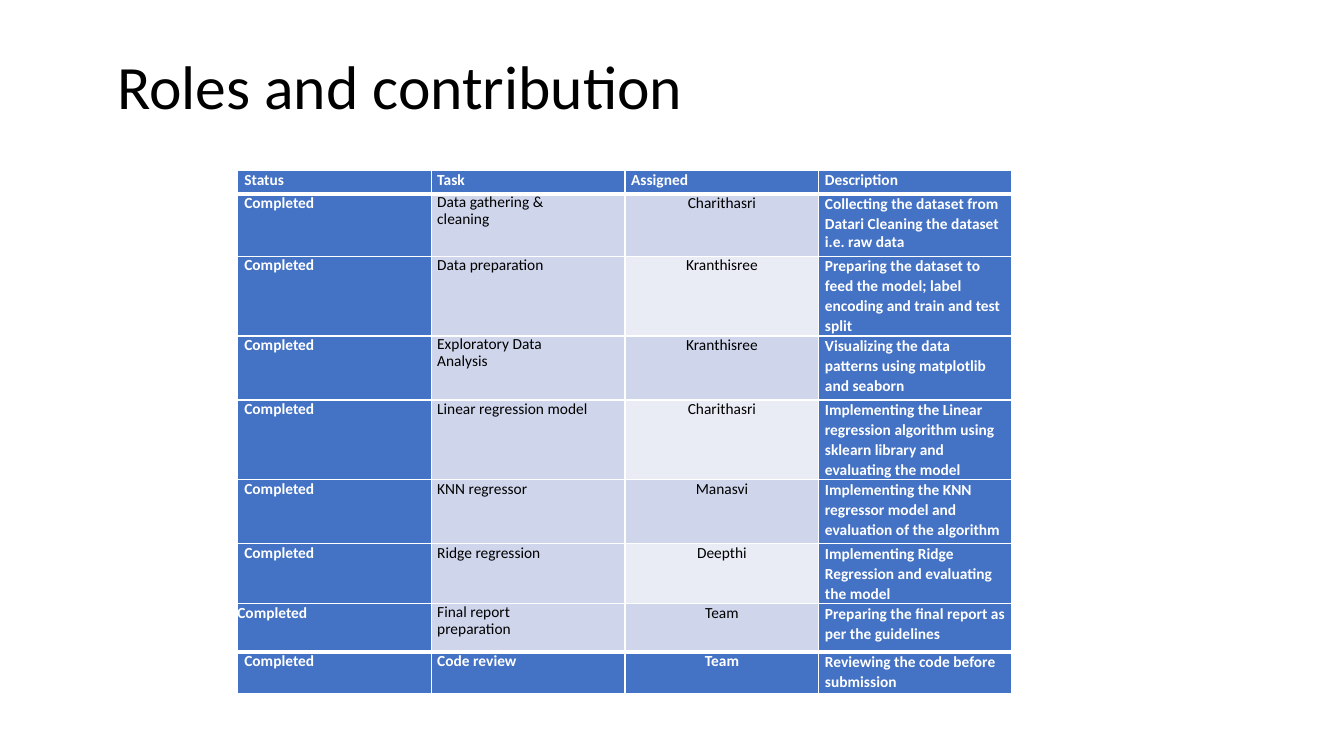
from lxml.etree import SubElement
from pptx import Presentation
from pptx.dml.color import RGBColor
from pptx.enum.text import MSO_ANCHOR as ANCHOR, PP_ALIGN as ALIGN
from pptx.oxml.ns import qn
from pptx.util import Pt

BLUE, PALE, PALER, WHITE, BLACK = "4472C4", "CFD5EA", "E9EBF5", "FFFFFF", "000000"
HEADERS = ["Status", "Task", "Assigned", "Description"]
TASKS = [
    ("Data gathering & cleaning", "Charithasri",
     "Collecting the dataset from Datari Cleaning the dataset\ni.e. raw data"),
    ("Data preparation", "Kranthisree",
     "Preparing the dataset to feed the model; label encoding and train and test split"),
    ("Exploratory Data Analysis", "Kranthisree",
     "Visualizing the data patterns using matplotlib and seaborn"),
    ("Linear regression model", "Charithasri",
     "Implementing the Linear regression algorithm using sklearn library and evaluating the model"),
    ("KNN regressor", "Manasvi",
     "Implementing the KNN regressor model and evaluation of the algorithm"),
    ("Ridge regression", "Deepthi",
     "Implementing Ridge Regression and evaluating the model"),
    ("Final report preparation", "Team",
     "Preparing the final report as per the guidelines"),
    ("Code review", "Team", "Reviewing the code before submission"),
]
WRAPPED = {"Data gathering & cleaning", "Exploratory Data Analysis", "Final report preparation"}
COL_WIDTHS = [138.5, 138.5, 138.5, 137.5]
ROW_HEIGHTS = [16.5, 44.5, 57, 45.75, 57, 45.75, 43, 34.5, 29.5]
FINAL_REPORT = 7


def color(value):
    return RGBColor.from_string(value)


def add_text(tf, text, size=11, fill=WHITE, bold=False, align=ALIGN.LEFT,
             spacing=1.0, last_spacing=None, indent=0):
    tf.word_wrap = True
    lines = text.split("\n")
    for i, line in enumerate(lines):
        p = tf.paragraphs[0] if i == 0 else tf.add_paragraph()
        p.alignment = align
        p.line_spacing = last_spacing if i and last_spacing else spacing
        if indent:
            p._p.get_or_add_pPr().set("marL", str(Pt(indent)))
        r = p.add_run()
        r.text = line
        r.font.name = "Calibri"
        r.font.size = Pt(size)
        r.font.bold = bold
        r.font.color.rgb = color(fill)


def set_borders(cell, top=1, bottom=1):
    tcPr = cell._tc.get_or_add_tcPr()
    for side, width in (("L", 1), ("R", 1), ("T", top), ("B", bottom)):
        ln = SubElement(tcPr, qn(f"a:ln{side}"), w=str(Pt(width)))
        SubElement(SubElement(ln, qn("a:solidFill")), qn("a:srgbClr"), val=WHITE)


def add_title(s, x, y, w, h):
    tf = s.shapes.add_textbox(Pt(x), Pt(y), Pt(w), Pt(h)).text_frame
    tf.vertical_anchor = ANCHOR.MIDDLE
    add_text(tf, "Roles and contribution", size=44, fill=BLACK, spacing=0.9)


def fill_cell(cell, row, col, text):
    last = len(TASKS)
    plain = 0 < row < last and col in (1, 2)
    set_borders(cell, top=3 if row in (1, last) else 1,
                bottom=3 if row in (0, last - 1) else 1)
    cell.fill.solid()
    fill = BLUE if not plain else PALER if col == 2 and row % 2 == 0 else PALE
    cell.fill.fore_color.rgb = color(fill)
    cell.margin_left = cell.margin_right = cell.margin_top = cell.margin_bottom = 0
    if text in WRAPPED:
        cell.margin_right = Pt(36)
    elif col == 3 and row != FINAL_REPORT:
        cell.margin_right = Pt(4)
    centered = col == 2 and row > 0
    flush = centered or (col == 0 and row == FINAL_REPORT)
    spacing = 1.05 if col == 3 and row else 0.9 if text in WRAPPED else 1.0
    add_text(cell.text_frame, text, fill=BLACK if plain else WHITE, bold=not plain,
             align=ALIGN.CENTER if centered else ALIGN.LEFT, spacing=spacing,
             last_spacing=Pt(12.8), indent=0 if flush else 5 if col == 0 else 4.3)


def add_roles_table(s, x, y):
    rows = [HEADERS] + [("Completed", *task) for task in TASKS]
    table = s.shapes.add_table(len(rows), len(HEADERS), Pt(x), Pt(y),
                               Pt(sum(COL_WIDTHS)), Pt(sum(ROW_HEIGHTS))).table
    table.first_row = table.horz_banding = False
    for column, width in zip(table.columns, COL_WIDTHS):
        column.width = Pt(width)
    for i, (row, height) in enumerate(zip(rows, ROW_HEIGHTS)):
        table.rows[i].height = Pt(height)
        for j, text in enumerate(row):
            fill_cell(table.cell(i, j), i, j, text)


prs = Presentation()
prs.slide_width, prs.slide_height = Pt(960), Pt(540)
s = prs.slides.add_slide(prs.slide_layouts[6])
add_title(s, 76.5, 22.5, 782, 83)
add_roles_table(s, 169.5, 122)
prs.save("out.pptx")
